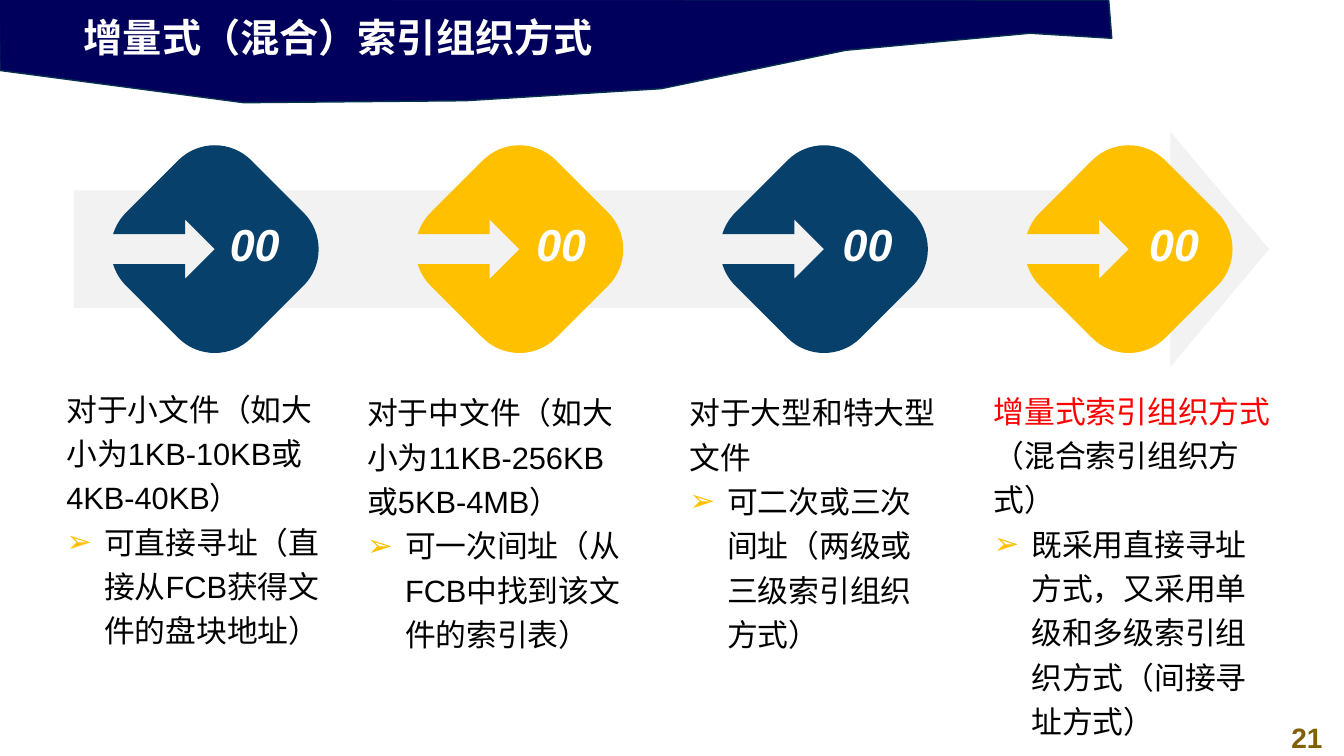
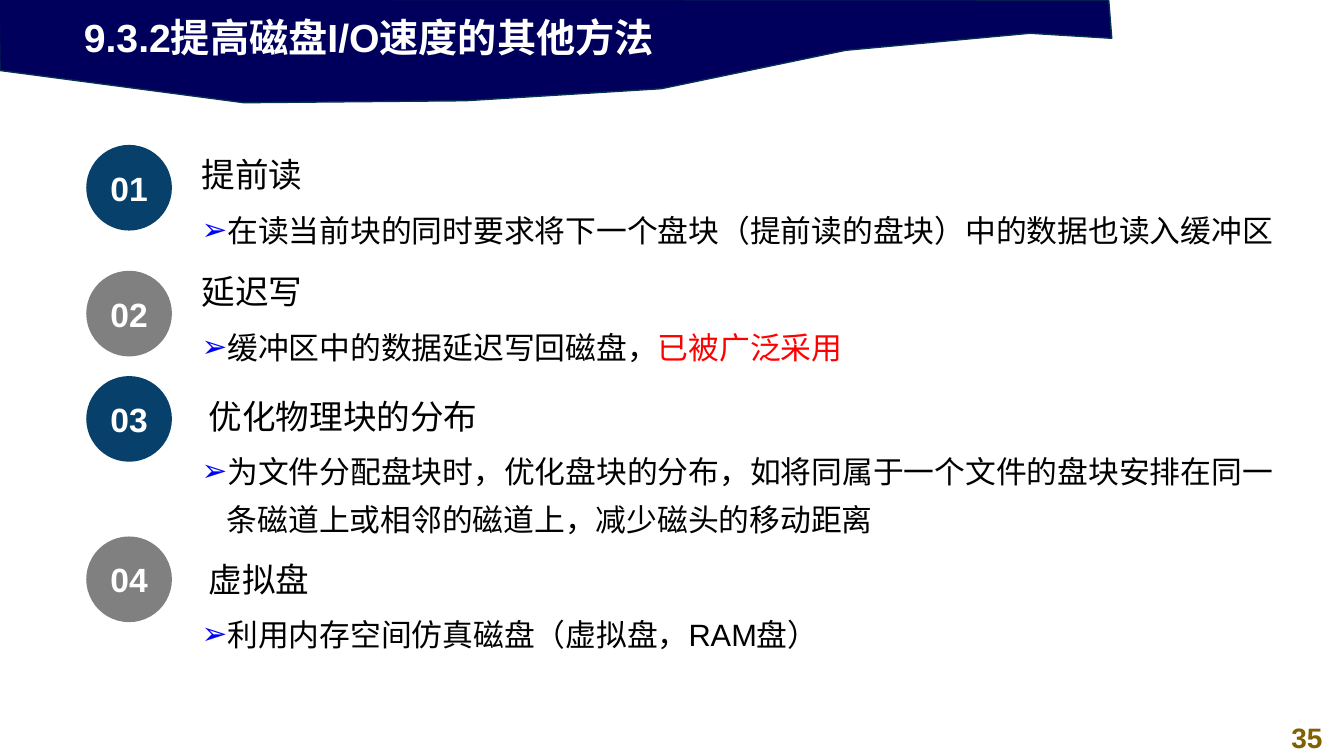
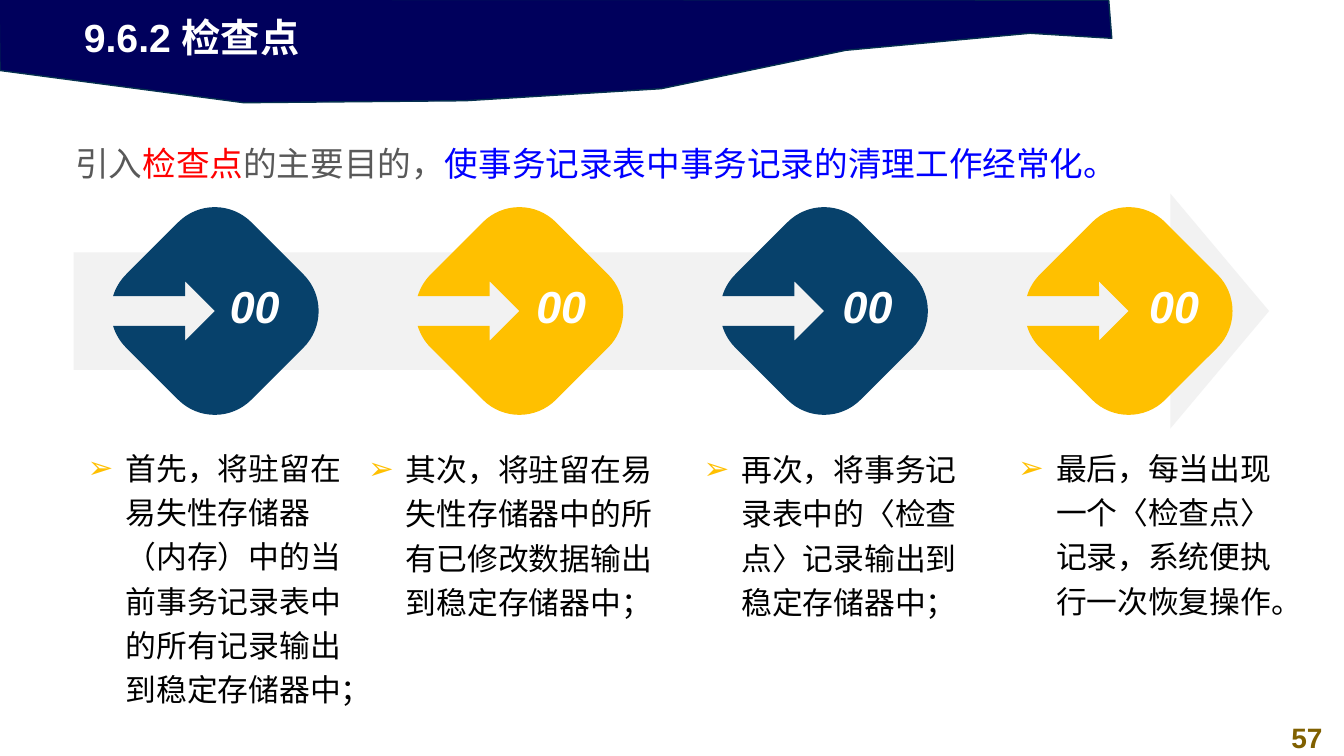
"""Build three lecture slides on file indexing, disk I/O speed and checkpoints."""
from dataclasses import dataclass
from math import cos, radians, sin, tan

from lxml.etree import SubElement
from pptx import Presentation
from pptx.dml.color import RGBColor
from pptx.enum.shapes import MSO_SHAPE as Preset
from pptx.enum.text import MSO_ANCHOR as Anchor, PP_ALIGN as Align
from pptx.oxml.ns import qn
from pptx.util import Pt


@dataclass(frozen=True)
class Theme:
    font: str = "Arial"
    banner: str = "00005C"
    banner_edge: str = "05304F"
    page: str = "806000"
    navy: str = "07416B"
    gold: str = "FFC000"
    gray: str = "808080"
    track: str = "F2F2F2"
    white: str = "FFFFFF"
    black: str = "000000"
    muted: str = "595959"
    red: str = "FF0000"
    blue: str = "0000FF"
    title_size: int = 28
    page_size: int = 20
    step_size: int = 32
    heading_size: int = 24
    body_size: int = 22


theme = Theme()


def write(frame, text, size=theme.body_size, color=theme.black, bold=False, italic=False,
          align=Align.LEFT, anchor=Anchor.TOP, spacing=1.0, bullet=None, indent=0, hang=0):
    """Add one paragraph; text is a string or a list of (text, colour) runs."""
    frame.word_wrap = True
    frame.vertical_anchor = anchor
    paragraph = frame.paragraphs[0]
    if paragraph.runs:
        paragraph = frame.add_paragraph()
    if bullet:
        props = paragraph._p.get_or_add_pPr()
        props.set("marL", str(Pt(indent)))
        props.set("indent", str(Pt(-hang)))
        SubElement(SubElement(props, qn("a:buClr")), qn("a:srgbClr"), val=bullet)
        SubElement(props, qn("a:buFont"), typeface=theme.font)
        SubElement(props, qn("a:buChar"), char="➢")
    paragraph.alignment = align
    paragraph.line_spacing = spacing
    for words, ink in [(text, color)] if isinstance(text, str) else text:
        run = paragraph.add_run()
        run.text = words
        run.font.size = Pt(size)
        run.font.bold = bold
        run.font.italic = italic
        run.font.color.rgb = RGBColor.from_string(ink)
        run.font.name = theme.font
        SubElement(run._r.get_or_add_rPr(), qn("a:ea"), typeface=theme.font)


def paint(shape, fill, edge=None):
    """Give a shape a flat fill and, if asked, a thin outline."""
    shape.shadow.inherit = False
    shape.fill.solid()
    shape.fill.fore_color.rgb = RGBColor.from_string(fill)
    if edge:
        shape.line.color.rgb = RGBColor.from_string(edge)
        shape.line.width = Pt(1)
    else:
        shape.line.fill.background()


deck = Presentation()
deck.slide_width, deck.slide_height = Pt(960), Pt(540)

banner_outline = [(-0.7, -0.7), (0, 50.4), (174.2, 73.4), (332.6, 72), (472.3, 63.4),
                  (604, 36), (735.8, 23.8), (794.2, 27.4), (792, 0)]
pages = [
    ("增量式（混合）索引组织方式", "21"),
    ("9.3.2提高磁盘I/O速度的其他方法", "35"),
    ("9.6.2 检查点", "57"),
]
slides = []
for title, page in pages:
    slide = deck.slides.add_slide(deck.slide_layouts[6])
    slides.append(slide)
    corners = [(Pt(x), Pt(y)) for x, y in banner_outline]
    outline = slide.shapes.build_freeform(*corners[0])
    outline.add_line_segments(corners[1:], close=True)
    paint(outline.convert_to_shape(), theme.banner, theme.banner_edge)
    page_box = slide.shapes.add_textbox(Pt(907.2), Pt(511.2), Pt(52.6), Pt(31.7))
    write(page_box.text_frame, page, size=theme.page_size, color=theme.page, bold=True,
          align=Align.CENTER)
    title_box = slide.shapes.add_textbox(Pt(52.8), Pt(6.1), Pt(553), Pt(41))
    write(title_box.text_frame, title, size=theme.title_size, color=theme.white, bold=True)

index_slide, disk_slide, checkpoint_slide = slides

turn = 45
corner_offset, corner_radius, notch_angle = 37.2, 37, 16.8
shaft, head = 10.7, 21.2
notch = [(-head, shaft), (-head, head), (0, 0), (-head, -head), (-head, -shaft)]
arcs = [(270, 270, 315), (0, -45, 45), (90, 45, 135), (180, 135, 180 - notch_angle),
        (180, 180 + notch_angle, 225), (270, 225, 270)]
upright, curve_starts = [], []
for facing, start, end in arcs:
    if start == 180 + notch_angle:
        upright += notch
    mid_x = corner_offset * cos(radians(facing))
    mid_y = corner_offset * sin(radians(facing))
    pull = 4 / 3 * tan(radians(end - start) / 4)
    arc = [(start, 0), (start, pull), (end, -pull), (end, 0)]
    curve_starts.append(len(upright))
    for degrees, reach in arc:
        c, s = cos(radians(degrees)), sin(radians(degrees))
        upright.append((mid_x + corner_radius * (c - reach * s),
                        mid_y + corner_radius * (s + reach * c)))
c, s = cos(radians(turn)), sin(radians(turn))
diamond = [(x * c + y * s, y * c - x * s) for x, y in upright]

index_columns = [
    ((40.3, 270, 201.6, 239), "对于小文件（如大小为1KB-10KB或4KB-40KB）",
     "可直接寻址（直接从FCB获得文件的盘块地址）", Align.LEFT),
    ((255.2, 272.6, 205.2, 211), "对于中文件（如大小为11KB-256KB或5KB-4MB）",
     "可一次间址（从FCB中找到该文件的索引表）", Align.LEFT),
    ((485.3, 272.6, 193, 178.6), "对于大型和特大型文件",
     "可二次或三次间址（两级或三级索引组织方式）", Align.LEFT),
    ((702.7, 271.4, 216.7, 252.7),
     [("增量式索引组织方式", theme.red), ("（混合索引组织方式）", theme.black)],
     "既采用直接寻址方式，又采用单级和多级索引组织方式（间接寻址方式）", Align.LEFT),
]
checkpoint_columns = [
    ((55.6, 312.1, 208.1, 77), None,
     "首先，将驻留在易失性存储器（内存）中的当前事务记录表中的所有记录输出到稳定存储器中；",
     Align.LEFT),
    ((255.2, 313.2, 218.2, 77), None,
     "其次，将驻留在易失性存储器中的所有已修改数据输出到稳定存储器中；", Align.CENTER),
    ((485.3, 313.2, 215.3, 39.6), None,
     "再次，将事务记录表中的〈检查点〉记录输出到稳定存储器中；", Align.CENTER),
    ((718, 312.1, 199.4, 115.2), None,
     "最后，每当出现一个〈检查点〉记录，系统便执行一次恢复操作。", Align.CENTER),
]
flows = [(index_slide, 178, index_columns), (checkpoint_slide, 222.2, checkpoint_columns)]
track_height = 167.8
for slide, middle, columns in flows:
    track = slide.shapes.add_shape(Preset.RIGHT_ARROW, Pt(52.6), Pt(middle - track_height / 2),
                                   Pt(853.9), Pt(track_height))
    track.adjustments[1] = 0.42
    paint(track, theme.track)
    for number, (area, lead, detail, align) in enumerate(columns):
        center = 153.4 + 217.6 * number
        corners = [(Pt(center + x), Pt(middle + y)) for x, y in diamond]
        outline = slide.shapes.build_freeform(*corners[0])
        outline.add_line_segments(corners[1:], close=True)
        step_diamond = outline.convert_to_shape()
        step_diamond.rotation = turn
        paint(step_diamond, theme.gold if number % 2 else theme.navy)
        contour = step_diamond._element.find(".//" + qn("a:path"))
        segments = contour.findall(qn("a:lnTo"))
        for first in curve_starts:
            curve, *rest = segments[first:first + 3]
            curve.tag = qn("a:cubicBezTo")
            for segment in rest:
                curve.append(segment[0])
                contour.remove(segment)
        step_box = slide.shapes.add_textbox(Pt(154.3 + 218.9 * number), Pt(middle - 30.6),
                                            Pt(55.4), Pt(53.3))
        write(step_box.text_frame, "00", size=theme.step_size, color=theme.white, bold=True,
              italic=True, align=Align.CENTER, anchor=Anchor.MIDDLE)
        column = slide.shapes.add_textbox(*map(Pt, area)).text_frame
        if lead:
            write(column, lead, spacing=1.2)
        write(column, detail, align=align, spacing=1.2, bullet=theme.gold, indent=27, hang=27)

purpose = checkpoint_slide.shapes.add_textbox(Pt(46.8), Pt(92.9), Pt(820), Pt(52.6))
write(purpose.text_frame,
      [("引入", theme.muted), ("检查点", theme.red), ("的主要目的，", theme.muted),
       ("使事务记录表中事务记录的清理工作经常化。", theme.blue)],
      size=theme.heading_size, spacing=1.2)

methods = [
    (103.5, 136.8, 97.2, 139, 49, "提前读",
     "在读当前块的同时要求将下一个盘块（提前读的盘块）中的数据也读入缓冲区"),
    (193.4, 136.8, 180.7, 222.5, 49, "延迟写",
     [("缓冲区中的数据延迟写回磁盘，", theme.black), ("已被广泛采用", theme.red)]),
    (268.6, 142, 270, 311.2, 74.2, "优化物理块的分布",
     "为文件分配盘块时，优化盘块的分布，如将同属于一个文件的盘块安排在同一"
     "条磁道上或相邻的磁道上，减少磁头的移动距离"),
    (383.2, 142, 386.6, 427.7, 47.5, "虚拟盘", "利用内存空间仿真磁盘（虚拟盘，RAM盘）"),
]
for number, method in enumerate(methods, 1):
    badge_top, name_left, name_top, detail_top, detail_height, name, detail = method
    badge = disk_slide.shapes.add_shape(Preset.OVAL, Pt(61.6), Pt(badge_top), Pt(61.2), Pt(61.2))
    paint(badge, theme.navy if number % 2 else theme.gray)
    write(badge.text_frame, f"{number:02}", size=theme.heading_size, color=theme.white, bold=True,
          align=Align.CENTER, anchor=Anchor.MIDDLE)
    name_box = disk_slide.shapes.add_textbox(Pt(name_left), Pt(name_top), Pt(406.8), Pt(41))
    write(name_box.text_frame, name, size=theme.heading_size, spacing=1.32)
    detail_box = disk_slide.shapes.add_textbox(Pt(101), Pt(detail_top), Pt(819.4),
                                               Pt(detail_height))
    write(detail_box.text_frame, detail, spacing=1.32, bullet=theme.blue, indent=54, hang=18)

deck.save("out.pptx")
